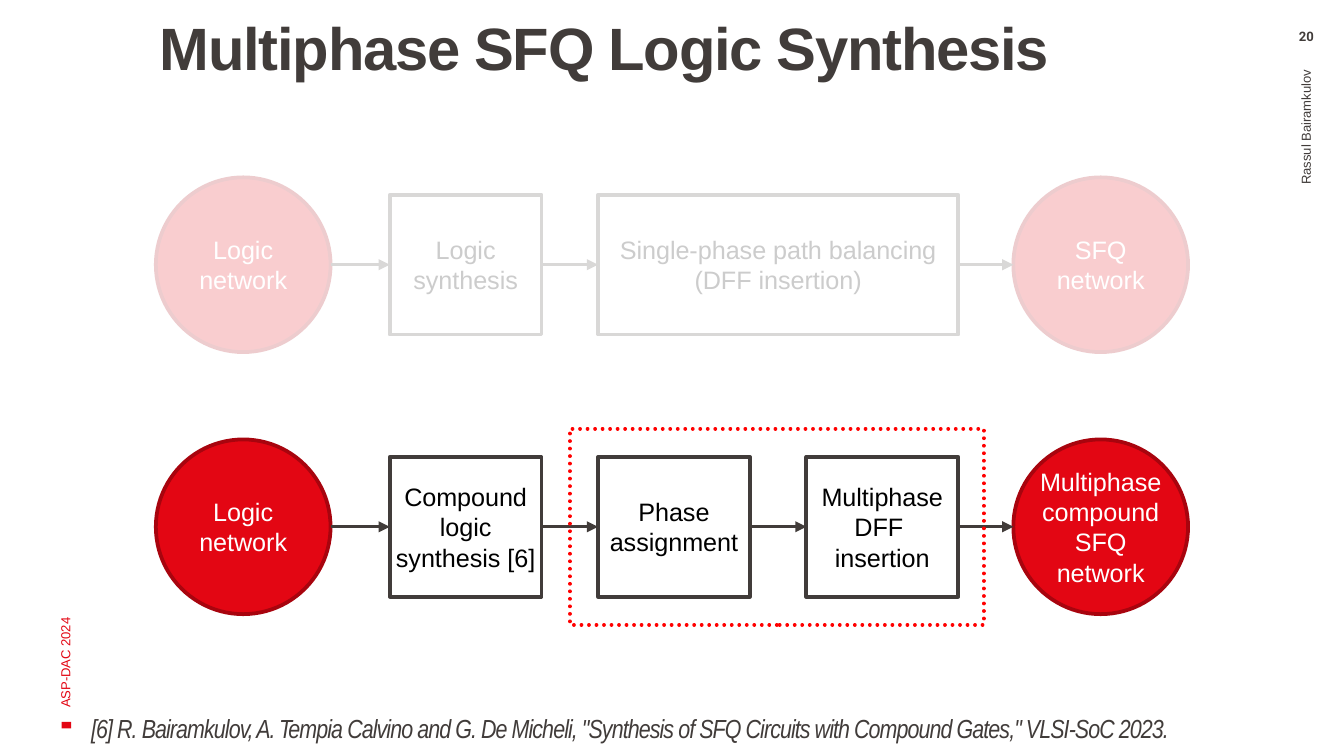
from lxml import etree
from pptx import Presentation
from pptx.dml.color import RGBColor
from pptx.enum.dml import MSO_LINE
from pptx.enum.shapes import MSO_CONNECTOR, MSO_SHAPE
from pptx.enum.text import MSO_ANCHOR, MSO_AUTO_SIZE, PP_ALIGN
from pptx.oxml.ns import qn
from pptx.util import Inches, Pt

RECT, OVAL = MSO_SHAPE.RECTANGLE, MSO_SHAPE.OVAL
STRAIGHT, DOTS = MSO_CONNECTOR.STRAIGHT, MSO_LINE.ROUND_DOT
LEFT, CENTER, RIGHT = PP_ALIGN.LEFT, PP_ALIGN.CENTER, PP_ALIGN.RIGHT
TOP, MIDDLE = MSO_ANCHOR.TOP, MSO_ANCHOR.MIDDLE
GROW, FIXED = MSO_AUTO_SIZE.SHAPE_TO_FIT_TEXT, MSO_AUTO_SIZE.NONE

W = 10
H = W * 9 / 16
INK, RED, DARK, WHITE = "413C3A", "E30613", "A8040E", "FFFFFF"

TITLE = "Multiphase SFQ Logic Synthesis"
EVENT, AUTHOR, PAGE = "ASP-DAC 2024", "Rassul Bairamkulov ", "20"
CITE = ('[6] R. Bairamkulov, A. Tempia Calvino and G. De Micheli, '
        '"Synthesis of SFQ Circuits with Compound Gates," VLSI-SoC 2023.')

FLOWS = [
    (1.97, [("Logic network", 0, 1), ("Logic synthesis", 1, 1),
            ("Single-phase path balancing (DFF insertion)", 2, 2),
            ("SFQ network", 4, 1)]),
    (3.92, [("Logic network", 0, 1), ("Compound logic synthesis [6]", 1, 1),
            ("Phase assignment", 2, 1),
            ("Multiphase DFF \vinsertion", 3, 1),
            ("Multiphase compound SFQ network", 4, 1)]),
]
DISC, BOX, TALL, GAP = 1.3, 1.13, 1.04, 0.42
EDGE, FIRST, LAST = 1.16, 2.9, 4


def color(code):
    return RGBColor.from_string(code)


def write(shape, text, font, size, code, align=LEFT, anchor=TOP,
          pad=(0.1, 0.05, 0.1, 0.05), bold=False, slant=False, track=0,
          fit=FIXED):
    frame = shape.text_frame
    frame.word_wrap = True
    frame.auto_size = fit
    frame.vertical_anchor = anchor
    (frame.margin_left, frame.margin_top,
     frame.margin_right, frame.margin_bottom) = map(Inches, pad)
    para = frame.paragraphs[0]
    para.text = text
    para.alignment = align
    para.font.name, para.font.size = font, Pt(size)
    para.font.bold, para.font.italic = bold, slant
    para.font.color.rgb = color(code)
    if track:
        for run in para.runs:
            run.font._element.set("spc", str(round(track * 100)))
    return para


def label(area, *args, turn=0, **style):
    box = slide.shapes.add_textbox(*map(Inches, area))
    box.rotation = turn
    return write(box, *args, **style)


def block(kind, area, fill=None, line=None, width=2):
    shape = slide.shapes.add_shape(kind, *map(Inches, area))
    shape.shadow.inherit = False
    if fill:
        shape.fill.solid()
        shape.fill.fore_color.rgb = color(fill)
    else:
        shape.fill.background()
    if line:
        shape.line.color.rgb = color(line)
        shape.line.width = Pt(width)
    else:
        shape.line.fill.background()
    return shape


def node(text, col, span, mid):
    if col in (0, LAST):
        left = EDGE if col == 0 else W - EDGE - DISC
        shape = block(OVAL, (left, mid - DISC / 2, DISC, DISC), RED, DARK)
        ink = WHITE
    else:
        left = FIRST + (col - 1) * (BOX + GAP)
        wide = span * BOX + (span - 1) * GAP
        shape = block(RECT, (left, mid - TALL / 2, wide, TALL), line=INK)
        ink = "000000"
    write(shape, text, "Arial", 13.5, ink, CENTER, MIDDLE, (0, 0, 0, 0))
    return shape


def arrow(one, two, mid):
    line = slide.shapes.add_connector(
        STRAIGHT, one.left + one.width, Inches(mid), two.left, Inches(mid))
    if one.auto_shape_type == RECT:
        line.begin_connect(one, 3)
    if two.auto_shape_type == RECT:
        line.end_connect(two, 1)
    line.line.color.rgb = color(INK)
    line.line.width = Pt(1.5)
    etree.SubElement(line.line._get_or_add_ln(), qn("a:tailEnd"),
                     type="triangle")
    etree.SubElement(line._element.spPr, qn("a:effectLst"))


deck = Presentation()
deck.slide_width, deck.slide_height = Inches(W), Inches(H)
slide = deck.slides.add_slide(deck.slide_layouts[6])

block(RECT, (0.47, 5.36, 0.05, 0.07), RED).rotation = 270
head = label((0.99, 0.14, 8.45, 1.17), TITLE, "Arial", 32, INK,
             pad=(0.2, 0, 0.08, 0.05), bold=True, track=-0.7)
head.line_spacing = 0.9
label((-1.34, 3.04, 3.65, 1), EVENT, "Arial", 7, RED, anchor=MIDDLE, turn=270)
label((7.78, 2.05, 3.87, 0.56), AUTHOR, "Arial", 7, INK, RIGHT, MIDDLE,
      turn=270)
label((9.44, 0.21, 0.56, 0.18), PAGE, "Roboto", 7, INK, CENTER,
      pad=(0.1, 0, 0.1, 0), bold=True)

for mid, steps in FLOWS:
    nodes = [node(*step, mid) for step in steps]
    for one, two in zip(nodes, nodes[1:]):
        arrow(one, two, mid)

veil = block(RECT, (1.04, 1.19, 7.93, 1.56), WHITE)
tint = veil.fill._xPr.find(".//" + qn("a:srgbClr"))
etree.SubElement(tint, qn("a:alpha"), val="80000")

label((0.58, 5.25, 9.29, 0.34), CITE, "Arial Narrow", 14, INK,
      slant=True, track=-0.5, fit=GROW)
frame = block(RECT, (4.24, 3.19, 3.08, 1.46), line="FF0000")
frame.line.dash_style = DOTS
frame.line._get_or_add_ln().set("cap", "rnd")

deck.save("out.pptx")
